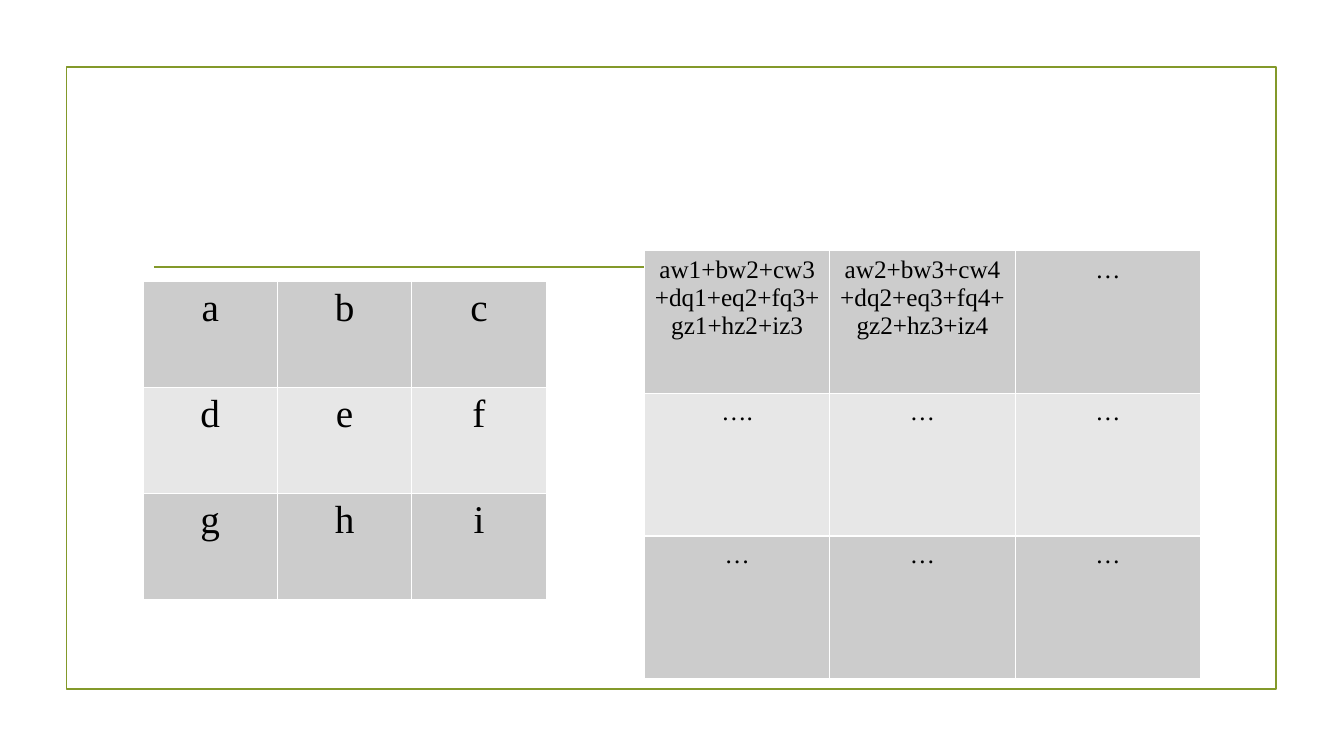
"""Build a slide with a 3x3 filter kernel and the table of its convolution sums."""
from lxml.etree import SubElement
from pptx import Presentation
from pptx.dml.color import RGBColor
from pptx.enum.shapes import MSO_CONNECTOR as CONNECTOR, MSO_SHAPE as SHAPE
from pptx.enum.text import PP_ALIGN as ALIGN
from pptx.oxml.ns import qn
from pptx.util import Pt

OLIVE = RGBColor(0x83, 0x99, 0x2A)
BLACK = RGBColor(0x00, 0x00, 0x00)
WHITE = RGBColor(0xFF, 0xFF, 0xFF)
BANDS = [RGBColor(0xCC, 0xCC, 0xCC), RGBColor(0xE7, 0xE7, 0xE7)]


def add_borders(cell):
    for side in ("a:lnL", "a:lnR", "a:lnT", "a:lnB"):
        border = SubElement(cell._tc.get_or_add_tcPr(), qn(side), w=str(Pt(1)))
        fill = SubElement(border, qn("a:solidFill"))
        SubElement(fill, qn("a:srgbClr"), val=str(WHITE))


def add_grid(slide, rows, left, top, column_width, row_height, size):
    grid = slide.shapes.add_table(
        len(rows), len(rows[0]), Pt(left), Pt(top),
        Pt(column_width * len(rows[0])), Pt(row_height * len(rows))).table
    grid.first_row = False
    for column in grid.columns:
        column.width = Pt(column_width)
    font_format = {"name": "Times New Roman", "size": Pt(size), "bold": False}
    for row_number, entries in enumerate(rows):
        grid.rows[row_number].height = Pt(row_height)
        for column_number, entry in enumerate(entries):
            cell = grid.cell(row_number, column_number)
            add_borders(cell)
            cell.fill.solid()
            cell.fill.fore_color.rgb = BANDS[row_number % 2]
            paragraph = cell.text_frame.paragraphs[0]
            paragraph.alignment = ALIGN.CENTER
            run = paragraph.add_run()
            run.text = entry
            for attribute, value in font_format.items():
                setattr(run.font, attribute, value)
            run.font.color.rgb = BLACK


prs = Presentation()
prs.slide_width, prs.slide_height = Pt(960), Pt(540)
slide = prs.slides.add_slide(prs.slide_layouts[6])

frame = slide.shapes.add_shape(SHAPE.RECTANGLE, Pt(47.5), Pt(48), Pt(864), Pt(444))
frame.shadow.inherit = False
frame.fill.background()

title_rule = slide.shapes.add_connector(
    CONNECTOR.STRAIGHT, Pt(110), Pt(190.8), Pt(850), Pt(190.8))
SubElement(title_rule._element.spPr, qn("a:effectLst"))

for outline in (frame.line, title_rule.line):
    outline.color.rgb = OLIVE
    outline.width = Pt(1.25)

convolution_sums = [
    ["aw1+bw2+cw3+dq1+eq2+fq3+gz1+hz2+iz3",
     "aw2+bw3+cw4+dq2+eq3+fq4+gz2+hz3+iz4", "…"],
    ["….", "…", "…"],
    ["…", "…", "…"],
]
add_grid(slide, convolution_sums, 460.4, 179.2, 132.4, 101.8, 18)

kernel = ["abc", "def", "ghi"]
add_grid(slide, kernel, 102.2, 200.8, 96, 75.8, 28)

prs.save("out.pptx")
